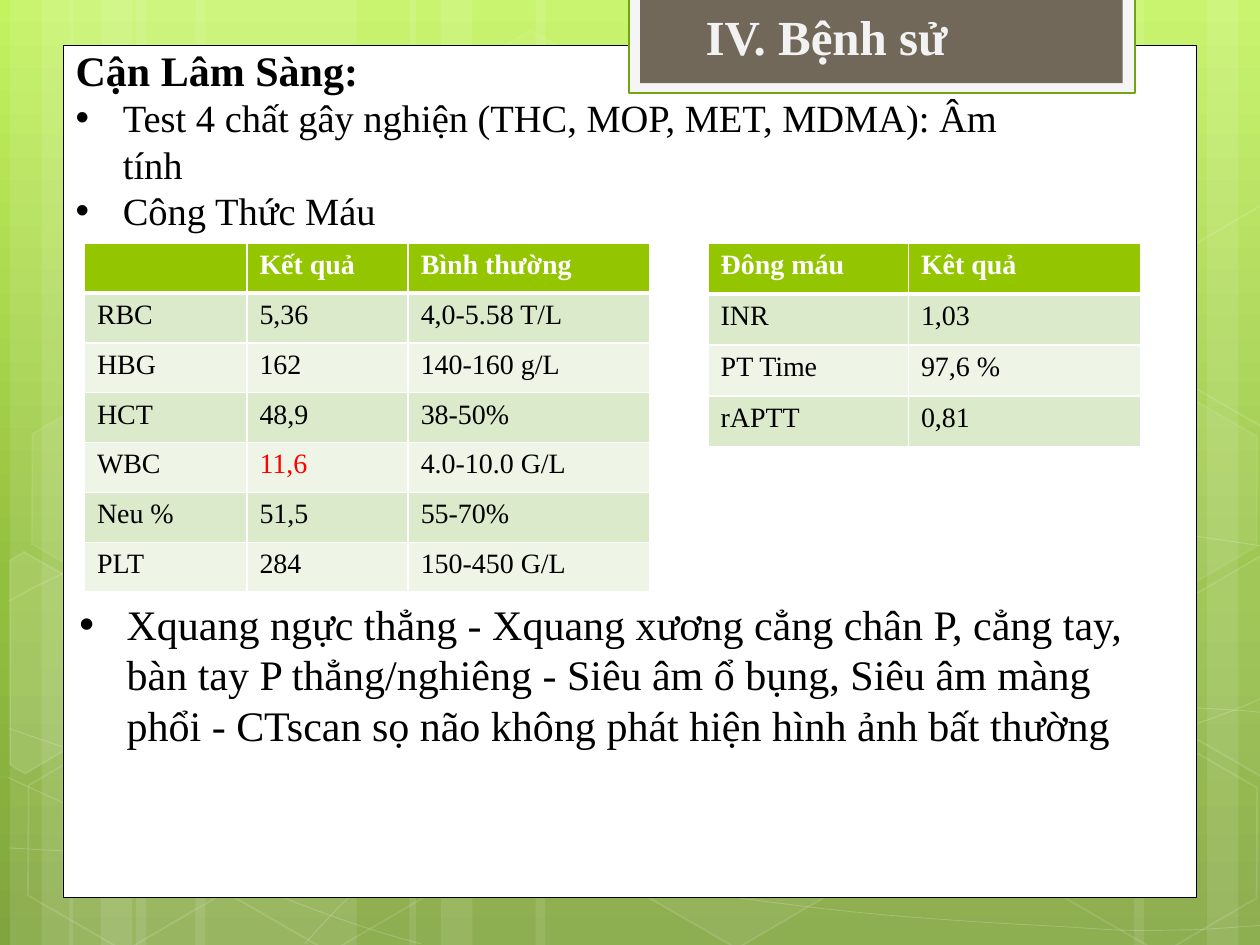
from copy import deepcopy
from dataclasses import dataclass

from lxml import etree
from pptx import Presentation
from pptx.dml.color import RGBColor
from pptx.enum.shapes import MSO_SHAPE
from pptx.enum.text import MSO_ANCHOR, MSO_AUTO_SIZE, PP_ALIGN
from pptx.oxml.ns import qn
from pptx.util import Inches, Pt

RECT, HEX = MSO_SHAPE.RECTANGLE, MSO_SHAPE.HEXAGON
TOP, LEFT, FIXED = MSO_ANCHOR.TOP, PP_ALIGN.LEFT, MSO_AUTO_SIZE.NONE
FONT = "Times New Roman"
COLORS = {
    "white": "FFFFFF", "black": "000000", "red": "FF0000", "tab": "F5F5F5",
    "green": "74A510", "brown": "71685A", "title": "F2F2F2",
    "head": "94C600", "odd": "DCEACC", "even": "EEF5E7",
    "light": "C3F35F", "mid": "93BF3F", "dark": "81A53E",
}


@dataclass
class Look:
    fill: str = ""
    alpha: int = 100
    line: str = ""
    width: float = 1
    fade: int = 100


@dataclass
class Hex:
    x: float
    y: float
    fill: int
    fade: int


@dataclass
class Grid:
    x: float
    height: float
    cols: list[float]
    rows: list[list[str]]


BARS = [(1.08, 1.75), (0.08, 0.5), (0.33, 0.83), (1.55, 1.75), (0.55, 0.5), (0.8, 0.83),
        (7.33, 1.75), (9.58, 0.5), (9, 0.83), (4.25, 3.08), (3.25, 0.5), (3.5, 0.83)]
CURVES = [
    [(0.07, 6.73), (0.61, 6.76), (1.15, 6.79), (1.9, 6.78), (2.65, 6.77), (3.58, 6.75),
     (4.58, 6.65), (5.58, 6.55), (7, 6.36), (7.92, 6.17), (8.83, 5.98), (9.77, 5.68), (10.07, 5.51)],
    [(0.07, 4.77), (0.36, 4.61), (0.65, 4.46), (1.21, 4.31), (1.78, 4.16), (2.59, 3.94),
     (3.47, 3.87), (4.36, 3.8), (5.44, 3.79), (6.54, 3.87), (7.64, 3.95), (9.47, 4.26), (10.07, 4.34)],
    [(0.06, 6.17), (1.27, 6.72), (2.47, 7.27), (3.34, 7.49)],
    [(0.07, 5.78), (0.38, 5.89), (0.7, 6), (1.28, 6.16), (1.86, 6.31), (2.73, 6.56), (3.57, 6.73),
     (4.4, 6.9), (5.45, 7.08), (6.28, 7.18), (7.11, 7.29), (8, 7.33), (8.53, 7.36),
     (9.05, 7.4), (9.19, 7.38), (9.45, 7.38), (9.71, 7.37), (9.89, 7.35), (10.07, 7.34)],
    [(2.42, 7.49), (2.6, 7.29), (2.78, 7.09), (3.02, 6.91), (3.26, 6.73), (3.6, 6.53), (3.88, 6.39),
     (4.16, 6.25), (4.33, 6.19), (4.7, 6.09), (5.06, 5.99), (5.73, 5.85), (6.08, 5.78),
     (6.44, 5.71), (6.49, 5.71), (6.8, 5.69), (7.11, 5.66), (7.6, 5.63), (7.94, 5.62),
     (8.29, 5.61), (8.86, 5.62), (8.86, 5.62), (9.08, 5.62), (9.31, 5.62), (9.53, 5.62),
     (9.71, 5.63), (9.88, 5.64), (9.97, 5.65), (10.06, 5.66), (10.03, 5.65), (10.06, 5.66)],
]
HEXES = [Hex(3.34, 0.36, 4, 8), Hex(4.97, 5.89, 6, 12), Hex(0.11, 5.91, 0, 12),
         Hex(0.14, 3.12, 7, 8), Hex(1.74, 5.92, 0, 12), Hex(7.53, 4.53, 10, 12),
         Hex(8.34, 5.93, 0, 12), Hex(8.34, 3.14, 7, 8)]
CUTS = [
    (10, [(0.08, 4.45), (0.19, 4.38), (0.96, 4.82), (0.95, 5.7), (0.2, 6.14), (0.08, 6.07)]),
    (4, [(9.26, 4.85), (10.01, 4.41), (10.09, 4.46), (10.09, 6.13), (10.02, 6.17), (9.26, 5.73)]),
    (0, [(9.26, 2.07), (10.01, 1.63), (10.1, 1.68), (10.09, 3.35), (10.02, 3.39), (9.26, 2.95)]),
]
GRIDS = [
    Grid(0.67, 2.77, [1.29, 1.28, 1.92], [
        ["", "Kết quả", "Bình thường"], ["RBC", "5,36", "4,0-5.58 T/L"],
        ["HBG", "162", "140-160 g/L"], ["HCT", "48,9", "38-50%"],
        ["WBC", "11,6", "4.0-10.0 G/L"], ["Neu %", "51,5", "55-70%"],
        ["PLT", "284", "150-450 G/L"]]),
    Grid(5.62, 1.62, [1.59, 1.84], [
        ["Đông máu", "Kêt quả"], ["INR", "1,03"], ["PT Time", "97,6 %"], ["rAPTT", "0,81"]]),
]
TESTS = ["Cận Lâm Sàng:", "Test 4 chất gây nghiện (THC, MOP, MET, MDMA): Âm tính", "Công Thức Máu"]
SCANS = ["Xquang ngực thẳng - Xquang xương cẳng chân P, cẳng tay, bàn tay P thẳng/nghiêng - "
         "Siêu âm ổ bụng, Siêu âm màng phổi - CTscan sọ não không phát hiện hình ảnh bất thường"]


def rgb(name: str) -> RGBColor:
    return RGBColor.from_string(COLORS[name])


def tint(fill, name: str, alpha: int) -> None:
    if not name or not alpha:
        fill.background()
        return
    fill.solid()
    fill.fore_color.rgb = rgb(name)
    if alpha < 100:
        node = fill._xPr.find(".//" + qn("a:srgbClr"))
        etree.SubElement(node, qn("a:alpha")).set("val", str(alpha * 1000))


def paint(shape, look: Look) -> None:
    shape.shadow.inherit = False
    tint(shape.fill, look.fill, look.alpha)
    tint(shape.line.fill, look.line, look.fade)
    if look.line:
        shape.line.width = Pt(look.width)


def block(slide, kind, box: tuple, look: Look):
    shape = slide.shapes.add_shape(kind, *map(Inches, box))
    paint(shape, look)
    return shape


def trace(slide, points: list, look: Look, close: bool):
    spots = [(Inches(x), Inches(y)) for x, y in points]
    pen = slide.shapes.build_freeform(*spots[0], scale=1)
    pen.add_line_segments(spots[1:], close=close)
    shape = pen.convert_to_shape()
    paint(shape, look)
    return shape


def bend(shape) -> None:
    lines = shape.element.findall(".//" + qn("a:lnTo"))
    for i in range(0, len(lines), 3):
        curve = etree.Element(qn("a:cubicBezTo"))
        lines[i].addprevious(curve)
        for line in lines[i:i + 3]:
            curve.append(line[0])
            line.getparent().remove(line)


def style(para, size: float, color: str, bold: bool = False) -> None:
    for run in para.runs:
        font = run.font
        font.name, font.size, font.bold = FONT, Pt(size), bold
        font.color.rgb = rgb(color)


def write(slide, holder, box: tuple, lines: list[str], size: float, color: str) -> None:
    holder.left, holder.top, holder.width, holder.height = map(Inches, box)
    slide.shapes.element.append(holder.element)
    frame = holder.text_frame
    frame.text = "\n".join(lines)
    frame.word_wrap, frame.auto_size, frame.vertical_anchor = True, FIXED, TOP
    for para in frame.paragraphs:
        para.alignment, para.space_before = LEFT, Pt(0)
        style(para, size, color)


def rule(cell) -> None:
    edge = etree.Element(qn("a:lnB"), w=str(Pt(3)))
    fill = etree.SubElement(edge, qn("a:solidFill"))
    etree.SubElement(fill, qn("a:srgbClr"), val=COLORS["white"])
    cell._tc.get_or_add_tcPr().insert(0, edge)


def table(slide, grid: Grid) -> None:
    box = (grid.x, 1.93, sum(grid.cols), grid.height)
    chart = slide.shapes.add_table(len(grid.rows), len(grid.cols), *map(Inches, box)).table
    for col, width in zip(chart.columns, grid.cols):
        col.width = Inches(width)
    for r, row in enumerate(grid.rows):
        for c, text in enumerate(row):
            cell = chart.cell(r, c)
            cell.text = text
            tint(cell.fill, "head" if r == 0 else "odd" if r % 2 else "even", 100)
            color = "white" if r == 0 else "red" if text == "11,6" else "black"
            para = cell.text_frame.paragraphs[0]
            style(para, 16, color, r == 0)
            if not text:
                etree.SubElement(para._p, qn("a:endParaRPr"), sz="1600")
            if r == 0:
                rule(cell)


def scene(slide) -> None:
    fill = slide.background.fill
    fill.gradient()
    fill.gradient_angle = 270
    stops = slide.element.find(".//" + qn("a:gsLst"))
    stops.insert(1, deepcopy(stops[0]))
    for stop, place, name in zip(fill.gradient_stops, (0, 0.62, 1), ("light", "mid", "dark")):
        stop.position, stop.color.rgb = place, rgb(name)
    for x, width in BARS:
        block(slide, RECT, (x, 0, width, 7.5), Look("white", 10))
    for nodes in CURVES:
        bend(trace(slide, nodes, Look(line="white", width=0.5, fade=20), False))
    for item in HEXES:
        look = Look("white", item.fill, "white", 1, item.fade)
        shape = block(slide, HEX, (item.x, item.y, 1.75, 1.52), look)
        shape.adjustments[0], shape.rotation = 0.285, 30
    for alpha, points in CUTS:
        trace(slide, points, Look("white", alpha, "white", 1, 12), True)
    block(slide, RECT, (0.5, 0.36, 9, 6.76), Look("white", line="black", width=0.5))
    block(slide, RECT, (4.99, -0.02, 4.02, 0.76), Look("tab", line="green", width=1.25))
    block(slide, RECT, (5.08, -0.02, 3.83, 0.68), Look("brown"))


def main() -> None:
    deck = Presentation()
    deck.slide_width, deck.slide_height = Inches(10), Inches(7.5)
    slide = deck.slides.add_slide(deck.slide_layouts[3])
    title, tests, scans = list(slide.placeholders)[:3]
    scene(slide)
    write(slide, title, (5.5, 0, 3.67, 0.57), ["IV. Bệnh sử"], 28, "title")
    style(title.text_frame.paragraphs[0], 28, "title", True)
    write(slide, tests, (0.5, 0.3, 7.97, 2.29), TESTS, 22, "black")
    head = tests.text_frame.paragraphs[0]
    style(head, 24, "black", True)
    props = head._p.get_or_add_pPr()
    props.set("marL", "0")
    props.set("indent", "0")
    etree.SubElement(props, qn("a:buNone"))
    for grid in GRIDS:
        table(slide, grid)
    write(slide, scans, (0.53, 4.7, 8.64, 1.72), SCANS, 24, "black")
    deck.save("out.pptx")


if __name__ == "__main__":
    main()
